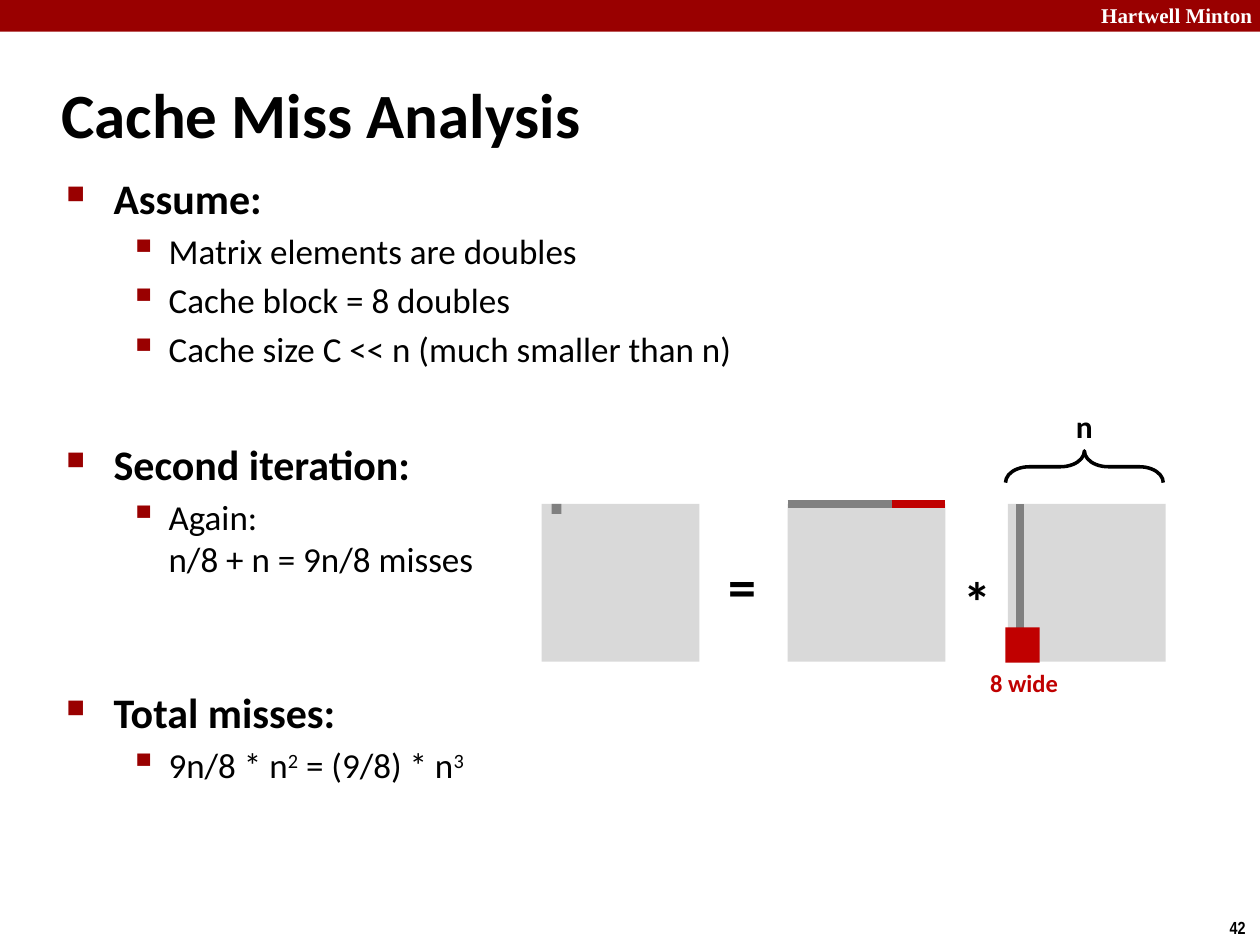
from dataclasses import dataclass

from lxml import etree
from pptx import Presentation
from pptx.dml.color import RGBColor
from pptx.enum.shapes import MSO_CONNECTOR, MSO_SHAPE
from pptx.enum.text import MSO_ANCHOR
from pptx.oxml.ns import qn
from pptx.util import Cm, Pt

STRAIGHT = MSO_CONNECTOR.STRAIGHT
RECTANGLE = MSO_SHAPE.RECTANGLE
LEFT_BRACE = MSO_SHAPE.LEFT_BRACE
MIDDLE, TOP = MSO_ANCHOR.MIDDLE, MSO_ANCHOR.TOP


@dataclass(frozen=True)
class Theme:
    accent: str = "990000"
    ink: str = "000000"
    paper: str = "FFFFFF"
    matrix: str = "D9D9D9"
    visited: str = "808080"
    cached: str = "C00000"
    font: str = "Calibri"
    header_font: str = "Times New Roman"
    number_font: str = "Arial Narrow"
    title_size: int = 36
    operator_size: int = 32
    heading_size: int = 24
    item_size: int = 20
    label_size: int = 18
    note_size: int = 14
    header_size: int = 12
    number_size: int = 10
    stripe: float = 4.5


THEME = Theme()


@dataclass(frozen=True)
class Frame:
    """Left, top, width and height in centimetres."""
    left: float
    top: float
    width: float
    height: float

    def lengths(self) -> list:
        return [Cm(side) for side in (self.left, self.top, self.width, self.height)]


@dataclass(frozen=True)
class Label:
    text: str
    frame: Frame
    size: int
    color: str = THEME.ink
    font: str = THEME.font
    wrap: bool = False
    anchor: int = TOP


@dataclass(frozen=True)
class Stripe:
    start: tuple
    end: tuple
    color: str


@dataclass(frozen=True)
class Level:
    size: int
    bold: bool
    margin: float
    hanging: float
    bullet: str
    bullet_percent: int


@dataclass(frozen=True)
class Point:
    pieces: tuple  # every second piece is superscript
    level: Level
    space_before: int


HEADING = Level(THEME.heading_size, True, 0.95, 0.95, "■", 60)
ITEM = Level(THEME.item_size, False, 2.06, 0.79, "▪", 110)

POINTS = [
    Point(("Assume:",), HEADING, 5),
    Point(("Matrix elements are doubles",), ITEM, 4),
    Point(("Cache block = 8 doubles",), ITEM, 4),
    Point(("Cache size C << n (much smaller than n)",), ITEM, 4),
    Point(("Second iteration:",), HEADING, 39),
    Point(("Again:\vn/8 + n = 9n/8 misses",), ITEM, 4),
    Point(("Total misses:",), HEADING, 61),
    Point(("9n/8 * n", "2", " = (9/8) * n", "3"), ITEM, 4),
]

# Matrix geometry
SIDE = 3.18
MATRIX_TOP = 10.16
RESULT_LEFT, ROW_LEFT, COLUMN_LEFT = 10.92, 15.88, 20.32
COLUMN_X = COLUMN_LEFT + 0.25

STRIPES = [
    Stripe((ROW_LEFT, MATRIX_TOP), (ROW_LEFT + SIDE, MATRIX_TOP), THEME.visited),
    Stripe((COLUMN_X, MATRIX_TOP), (COLUMN_X, MATRIX_TOP + SIDE), THEME.visited),
    Stripe((ROW_LEFT + 2.1, MATRIX_TOP), (ROW_LEFT + SIDE, MATRIX_TOP), THEME.cached),
]

LABELS = [
    Label("Hartwell Minton", Frame(21.95, -0.08, 3.63, 0.76), THEME.header_size,
          THEME.paper, THEME.header_font, wrap=True),
    Label("42", Frame(24.54, 18.36, 0.86, 0.69), THEME.number_size,
          font=THEME.number_font),
    Label("Cache Miss Analysis", Frame(0.99, 1.22, 21.08, 2.11), THEME.title_size,
          wrap=True, anchor=MIDDLE),
    Label("n", Frame(21.44, 8.08, 0.86, 1.02), THEME.label_size),
    Label("*", Frame(19.18, 11.3, 1.09, 1.63), THEME.operator_size),
    Label("=", Frame(14.43, 11, 1.09, 1.63), THEME.operator_size),
    Label("8 wide", Frame(19.71, 13.34, 1.88, 0.86), THEME.note_size, THEME.cached),
]


def style_span(span, size: int, bold: bool, color: str, font: str) -> None:
    span.font.size = Pt(size)
    span.font.bold = bold
    span.font.name = font
    span.font.color.rgb = RGBColor.from_string(color)


def draw_label(page, label: Label) -> None:
    frame = page.shapes.add_textbox(*label.frame.lengths()).text_frame
    frame.text = label.text
    frame.word_wrap = label.wrap
    frame.vertical_anchor = label.anchor
    style_span(frame.paragraphs[0].runs[0], label.size, True, label.color, label.font)


def draw_block(page, frame: Frame, color: str) -> None:
    block = page.shapes.add_shape(RECTANGLE, *frame.lengths())
    block.shadow.inherit = False
    block.fill.solid()
    block.fill.fore_color.rgb = RGBColor.from_string(color)
    block.line.fill.background()


def draw_stripe(page, stripe: Stripe) -> None:
    ends = [Cm(value) for value in stripe.start + stripe.end]
    line = page.shapes.add_connector(STRAIGHT, *ends)
    line.line.color.rgb = RGBColor.from_string(stripe.color)
    line.line.width = Pt(THEME.stripe)
    etree.SubElement(line._element.spPr, qn("a:effectLst"))


def draw_brace(page, frame: Frame) -> None:
    brace = page.shapes.add_shape(LEFT_BRACE, *frame.lengths())
    brace.rotation = 90
    brace.adjustments[0] = 0.75
    brace.shadow.inherit = False
    brace.fill.background()
    brace.line.color.rgb = RGBColor.from_string(THEME.ink)
    brace.line.width = Pt(2)


def add_bullet(para, level: Level) -> None:
    properties = para._p.get_or_add_pPr()
    properties.set("marL", str(Cm(level.margin)))
    properties.set("indent", str(-Cm(level.hanging)))
    color = etree.SubElement(properties, qn("a:buClr"))
    etree.SubElement(color, qn("a:srgbClr"), val=THEME.accent)
    etree.SubElement(properties, qn("a:buSzPct"), val=str(level.bullet_percent * 1000))
    etree.SubElement(properties, qn("a:buChar"), char=level.bullet)


def draw_points(page, frame: Frame, points: list[Point]) -> None:
    text = page.shapes.add_textbox(*frame.lengths()).text_frame
    text.word_wrap = True
    text.text = "\n".join(point.pieces[0] for point in points)
    # A line break stays within its paragraph
    for para, point in zip(text.paragraphs, points):
        level = point.level
        para.text = point.pieces[0]
        para.level = 0 if level is HEADING else 1
        para.space_before = Pt(point.space_before)
        add_bullet(para, level)
        for index, piece in enumerate(point.pieces[1:], 1):
            span = para.add_run()
            span.text = piece
            if index % 2:
                span.font._element.set("baseline", "30000")
        for span in para.runs:
            style_span(span, level.size, level.bold, THEME.ink, THEME.font)


def main() -> None:
    deck = Presentation()
    deck.slide_width, deck.slide_height = Cm(25.4), Cm(19.05)
    page = deck.slides.add_slide(deck.slide_layouts[6])

    # Header bar and bullet text
    draw_block(page, Frame(0, 0, 25.4, 0.64), THEME.accent)
    draw_points(page, Frame(1.09, 3.35, 21.95, 8.48), POINTS)

    # Matrices with the visited and cached regions
    draw_brace(page, Frame(21.54, 7.82, 0.64, SIDE))
    for left in (RESULT_LEFT, ROW_LEFT, COLUMN_LEFT):
        draw_block(page, Frame(left, MATRIX_TOP, SIDE, SIDE), THEME.matrix)
    draw_block(page, Frame(RESULT_LEFT + 0.2, MATRIX_TOP, 0.2, 0.2), THEME.visited)
    for stripe in STRIPES:
        draw_stripe(page, stripe)
    draw_block(page, Frame(20.27, 12.65, 0.69, 0.71), THEME.cached)

    # Title, header, page number and matrix labels
    for label in LABELS:
        draw_label(page, label)

    deck.save("out.pptx")


if __name__ == "__main__":
    main()
